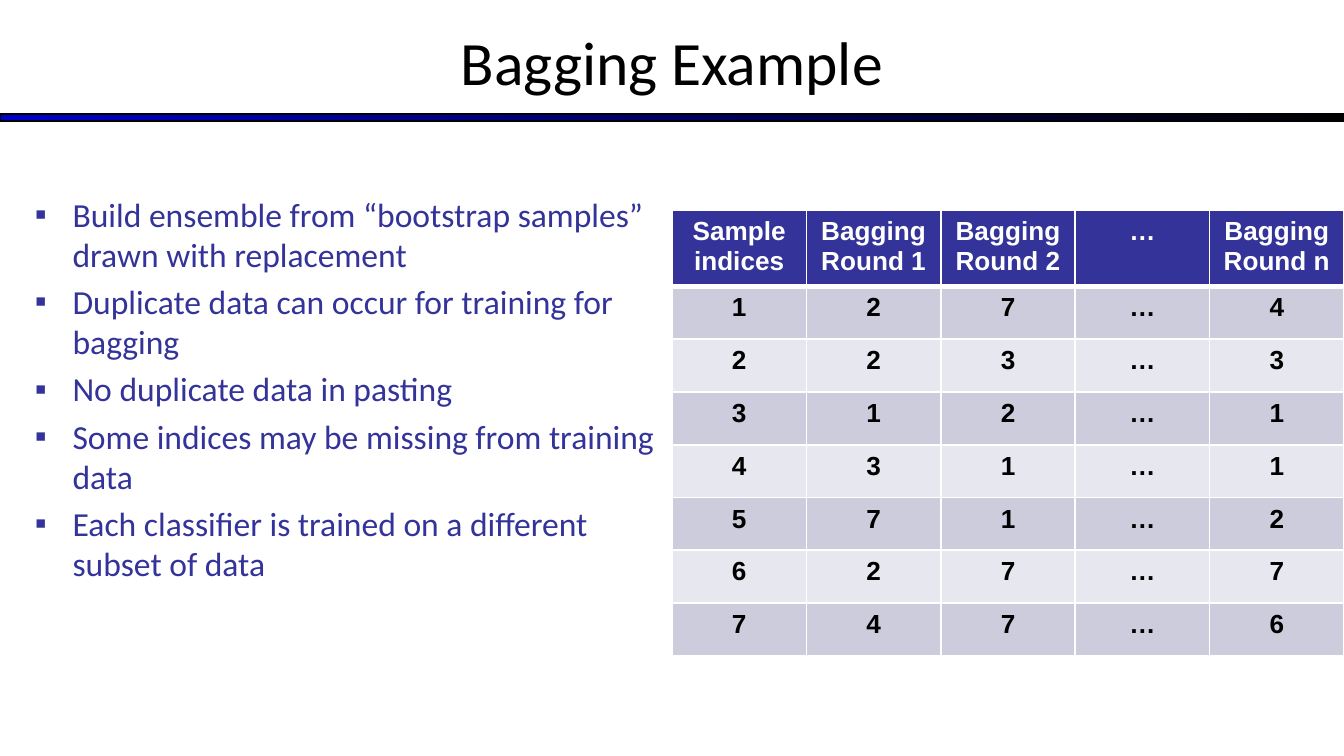
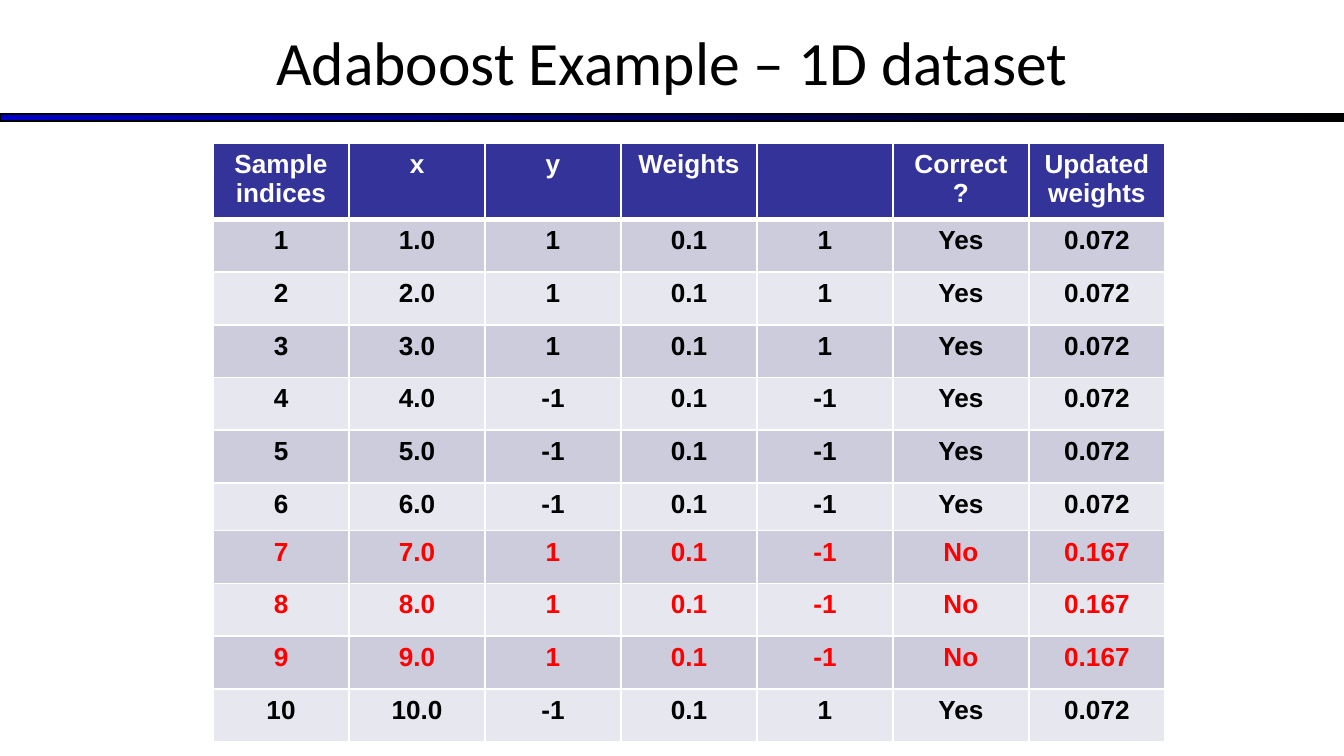
"""Build two slides on bagging and AdaBoost, with lengths in percent of the slide."""
from lxml.etree import SubElement as Sub
from pptx import Presentation
from pptx.dml.color import RGBColor
from pptx.enum.shapes import MSO_SHAPE as Kind
from pptx.enum.text import MSO_ANCHOR as Anchor, MSO_AUTO_SIZE as Fit, PP_ALIGN as Align
from pptx.oxml.ns import qn
from pptx.util import Inches, Pt

BLACK = RGBColor(0, 0, 0)
WHITE = RGBColor(255, 255, 255)
RED = RGBColor(255, 0, 0)
BLUE = RGBColor(0, 0, 0xCC)
NAVY = RGBColor(0x33, 0x33, 0x99)
DARK = RGBColor(0xCC, 0xCC, 0xDD)
PALE = RGBColor(0xE7, 0xE7, 0xEF)

POINTS = [
    "Build ensemble from “bootstrap samples” drawn with replacement",
    "Duplicate data can occur for training for bagging",
    "No duplicate data in pasting",
    "Some indices may be missing from training data",
    "Each classifier is trained on a different subset of data",
]
ROUNDS = [(2, 7, 4), (2, 3, 3), (1, 2, 1), (3, 1, 1), (7, 1, 2), (2, 7, 7), (4, 7, 6)]
LABELS = [1, 1, 1, -1, -1, -1, 1, 1, 1, -1]
GUESSES = [1, 1, 1, -1, -1, -1, -1, -1, -1, 1]
MISSED = (7, 8, 9)


def put(par, text, size=14, font="Arial", color=BLACK, bold=False, align=None, before=0):
    par.alignment = align
    par.space_before = Pt(before)
    if text:
        run = par.add_run()
        run.text = text
        run.font.size = Pt(size)
        run.font.name = font
        run.font.bold = bold
        run.font.color.rgb = color


def mark(par, char, color):
    props = par._p.get_or_add_pPr()
    props.set("marL", str(Inches(0.28)))
    props.set("indent", str(Inches(-0.28)))
    Sub(Sub(props, qn("a:buClr")), qn("a:srgbClr"), val=str(color))
    Sub(props, qn("a:buFont"), typeface="Arial")
    Sub(props, qn("a:buChar"), char=char)


def edge(cell, side, width):
    line = Sub(cell._tc.get_or_add_tcPr(), qn("a:ln" + side), w=str(Pt(width)))
    Sub(Sub(line, qn("a:solidFill")), qn("a:srgbClr"), val=str(WHITE))


class Deck:
    def __init__(self):
        self.prs = Presentation()
        self.prs.slide_width = Inches(10)
        self.prs.slide_height = Inches(5.625)
        self.slide = None

    def x(self, share):
        return round(self.prs.slide_width * share / 100)

    def y(self, share):
        return round(self.prs.slide_height * share / 100)

    def box(self, left, top, width, height):
        return self.x(left), self.y(top), self.x(width), self.y(height)

    def start(self, layout, title):
        first = self.slide is None
        self.slide = self.prs.slides.add_slide(self.prs.slide_layouts[layout])
        if first:
            self.rule()
        frame = self.hold(self.slide.shapes.title, (0, -0.36, 100, 16.7), Anchor.MIDDLE)
        put(frame.paragraphs[0], title, size=33, font="Calibri", align=Align.CENTER)

    def rule(self):
        bar = self.slide.shapes.add_shape(Kind.RECTANGLE, *self.box(0, 15.1, 100, 0.9))
        bar.shadow.inherit = False
        bar.fill.gradient()
        bar.fill.gradient_angle = 0
        for stop, color in zip(bar.fill.gradient_stops, (BLUE, BLACK)):
            stop.color.rgb = color
        bar.line.color.rgb = BLACK
        bar.line.width = Pt(0.75)
        bar.element.nvSpPr.cNvPr.set("id", "20")
        self.prs.slide_master.shapes.element.append(bar.element)

    def hold(self, shape, area, anchor):
        shape.left, shape.top, shape.width, shape.height = self.box(*area)
        frame = shape.text_frame
        frame.word_wrap = True
        frame.auto_size = Fit.NONE
        frame.vertical_anchor = anchor
        frame.margin_left = frame.margin_right = Inches(0.07)
        frame.margin_top = frame.margin_bottom = Inches(0.04)
        return frame

    def points(self, items, area):
        frame = self.hold(self.slide.placeholders[1], area, Anchor.TOP)
        for i, item in enumerate(items):
            par = frame.add_paragraph() if i else frame.paragraphs[0]
            put(par, item, size=18, font="Calibri", color=NAVY, before=3.6 if i else 0)
            mark(par, "▪", NAVY)

    def table(self, rows, left, top, col, head=10.1, row=6.98, short=(), red=()):
        tall = [head] + [6.3 if i in short else row for i in range(1, len(rows))]
        area = self.box(left, top, col * len(rows[0]), sum(tall))
        grid = self.slide.shapes.add_table(len(rows), len(rows[0]), *area).table
        for column in grid.columns:
            column.width = self.x(col)
        for i, values in enumerate(rows):
            grid.rows[i].height = self.y(tall[i])
            fill = (DARK if i % 2 else PALE) if i else NAVY
            ink = (RED if i in red else BLACK) if i else WHITE
            for j, value in enumerate(values):
                cell = grid.cell(i, j)
                for side, width in zip("LRTB", (1, 1, 3 if i == 1 else 1, 1 if i else 3)):
                    edge(cell, side, width)
                cell.fill.solid()
                cell.fill.fore_color.rgb = fill
                put(cell.text_frame.paragraphs[0], str(value), color=ink, bold=True,
                    align=Align.CENTER)


def main():
    deck = Deck()
    deck.start(1, "Bagging Example")
    deck.points(POINTS, (1.9, 24.9, 48.3, 69))
    head = ["Sample indices", "Bagging Round 1", "Bagging Round 2", "…", "Bagging Round n"]
    body = [(i, a, b, "…", n) for i, (a, b, n) in enumerate(ROUNDS, 1)]
    deck.table([head] + body, 50, 27.8, 10)

    deck.start(5, "Adaboost Example – 1D dataset")
    head = ["Sample indices", "x", "y", "Weights", "", "Correct?", "Updated weights"]
    body = []
    for i, (label, guess) in enumerate(zip(LABELS, GUESSES), 1):
        result = ("No", "0.167") if i in MISSED else ("Yes", "0.072")
        body.append((i, f"{i}.0", label, "0.1", guess, *result))
    deck.table([head] + body, 15.85, 18.9, 10.12, short=(6,), red=MISSED)
    deck.prs.save("out.pptx")


if __name__ == "__main__":
    main()
